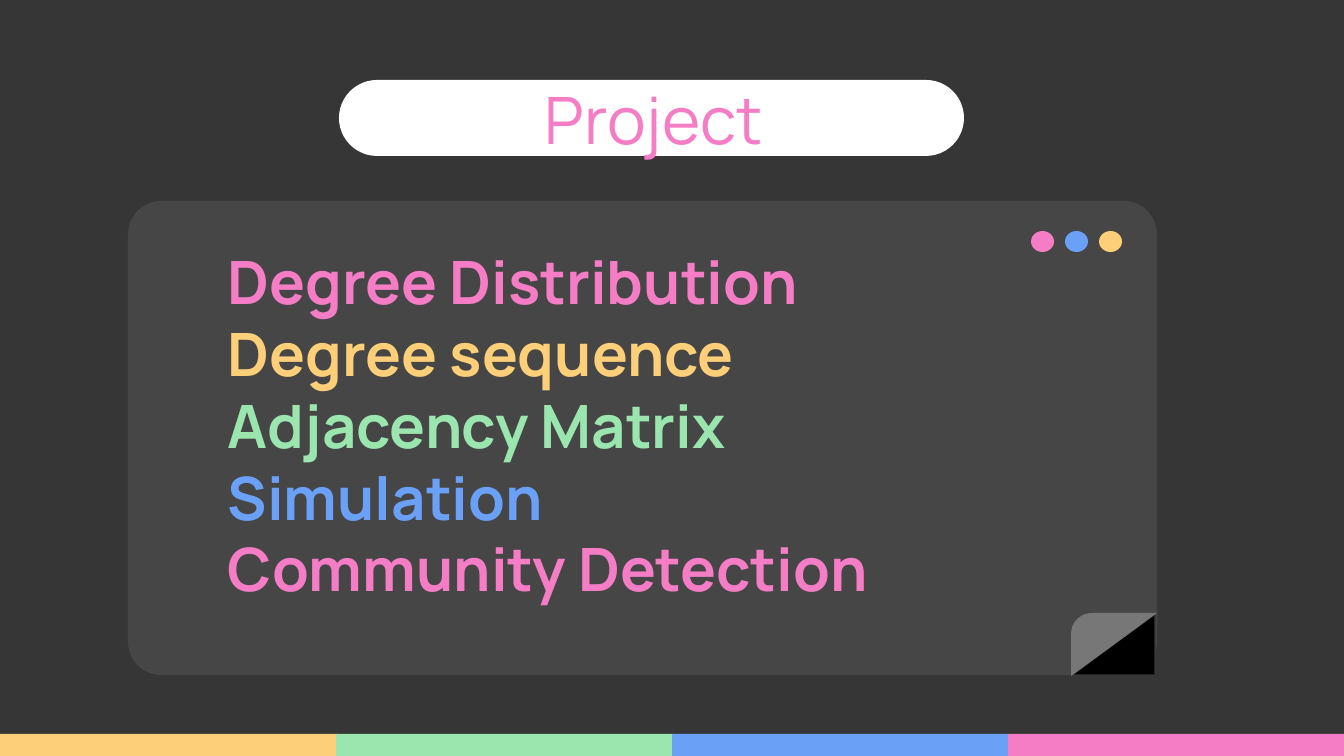
import math
from dataclasses import dataclass

from pptx import Presentation
from pptx import util as u
from pptx.dml.color import RGBColor
from pptx.enum import shapes, text

EMU_PER_PIXEL = 914400 / 134.4


def px(length):
    """Turn picture pixels into EMU."""
    return u.Emu(round(length * EMU_PER_PIXEL))


@dataclass(frozen=True)
class Theme:
    """Colours and type of the slide."""
    pink: str = "F57DC6"
    yellow: str = "FCCF78"
    green: str = "9AE6AE"
    blue: str = "6AA1F7"
    background: str = "363636"
    panel: str = "464646"
    fold: str = "777777"
    black: str = "000000"
    white: str = "FFFFFF"
    font: str = "Manrope"
    title_size: int = 35
    list_size: int = 32


class Canvas:
    """Draws styled elements on one slide."""

    def __init__(self, page, theme):
        """Keep the page and theme, and colour the background."""
        self.page, self.theme = page, theme
        fill = page.background.fill
        fill.solid()
        fill.fore_color.rgb = RGBColor.from_string(theme.background)

    def paint(self, shape, color, line=None):
        """Give a shape a flat fill and an optional thin outline."""
        shape.shadow.inherit = False
        shape.fill.solid()
        shape.fill.fore_color.rgb = RGBColor.from_string(color)
        if line:
            shape.line.color.rgb = RGBColor.from_string(line)
            shape.line.width = u.Pt(0.75)
        else:
            shape.line.fill.background()
        return shape

    def shape(self, kind, left, top, width, height, color, line=None):
        """Add a preset shape."""
        shape = self.page.shapes.add_shape(
            kind, px(left), px(top), px(width), px(height))
        return self.paint(shape, color, line)

    def rounded(self, left, top, width, height, color, radius):
        """Add a rounded rectangle with a relative corner radius."""
        shape = self.shape(shapes.MSO_SHAPE.ROUNDED_RECTANGLE,
                           left, top, width, height, color)
        shape.adjustments[0] = radius

    def outline(self, points, color):
        """Add a closed freeform through the points."""
        corners = [(px(x), px(y)) for x, y in points]
        builder = self.page.shapes.build_freeform(*corners[0])
        builder.add_line_segments(corners[1:], close=True)
        self.paint(builder.convert_to_shape(), color)

    def text(self, left, top, width, height, lines, size, bold=False,
             align=text.PP_ALIGN.LEFT, bottom=13):
        """Add a text box with one coloured paragraph per line."""
        box = self.page.shapes.add_textbox(
            px(left), px(top), px(width), px(height))
        frame = box.text_frame
        frame.word_wrap = True
        frame.vertical_anchor = text.MSO_ANCHOR.MIDDLE
        frame.margin_left = frame.margin_right = frame.margin_top = px(13)
        frame.margin_bottom = px(bottom)
        for index, (words, color) in enumerate(lines):
            para = frame.add_paragraph() if index else frame.paragraphs[0]
            para.text = words
            para.alignment = align
            para.font.name = self.theme.font
            para.font.size = u.Pt(size)
            para.font.bold = bold
            para.font.color.rgb = RGBColor.from_string(color)


def fold_points(left, top, right, bottom, radius):
    """Return the folded corner: a triangle with a rounded top left."""
    angles = [math.radians(90 + 10 * step) for step in range(10)]
    arc = [(left + radius * (1 + math.cos(angle)),
            top + radius * (1 - math.sin(angle))) for angle in angles]
    return arc + [(left, bottom), (right, top)]


def main():
    """Build and save the slide."""
    deck = Presentation()
    deck.slide_width, deck.slide_height = px(1344), px(756)
    theme = Theme()
    canvas = Canvas(deck.slides.add_slide(deck.slide_layouts[6]), theme)
    preset = shapes.MSO_SHAPE

    stripes = (theme.yellow, theme.green, theme.blue, theme.pink)
    for index, color in enumerate(stripes):
        canvas.shape(preset.RECTANGLE, 336 * index, 734, 337, 22, color)

    canvas.rounded(128, 201, 1029, 474, theme.panel, 0.07)
    for index, color in enumerate((theme.pink, theme.blue, theme.yellow)):
        canvas.shape(preset.OVAL, 1031 + 34 * index, 231, 23, 21, color)

    triangle = canvas.shape(preset.RIGHT_TRIANGLE, 1072, 614, 83, 61,
                            theme.black, theme.background)
    triangle.element.spPr.get_or_add_xfrm().set("flipH", "1")
    canvas.outline(fold_points(1071, 613, 1157, 676, 21), theme.fold)

    canvas.rounded(339, 80, 625, 76, theme.white, 0.5)
    canvas.text(403, 43, 515, 151, [("Project ", theme.pink)],
                theme.title_size, align=text.PP_ALIGN.CENTER)

    topics = [
        ("Degree Distribution", theme.pink),
        ("Degree sequence", theme.yellow),
        ("Adjacency Matrix", theme.green),
        ("Simulation", theme.blue),
        ("Community Detection", theme.pink),
    ]
    canvas.text(215, 259, 941, 392, topics, theme.list_size,
                bold=True, bottom=74)
    deck.save("out.pptx")


main()
